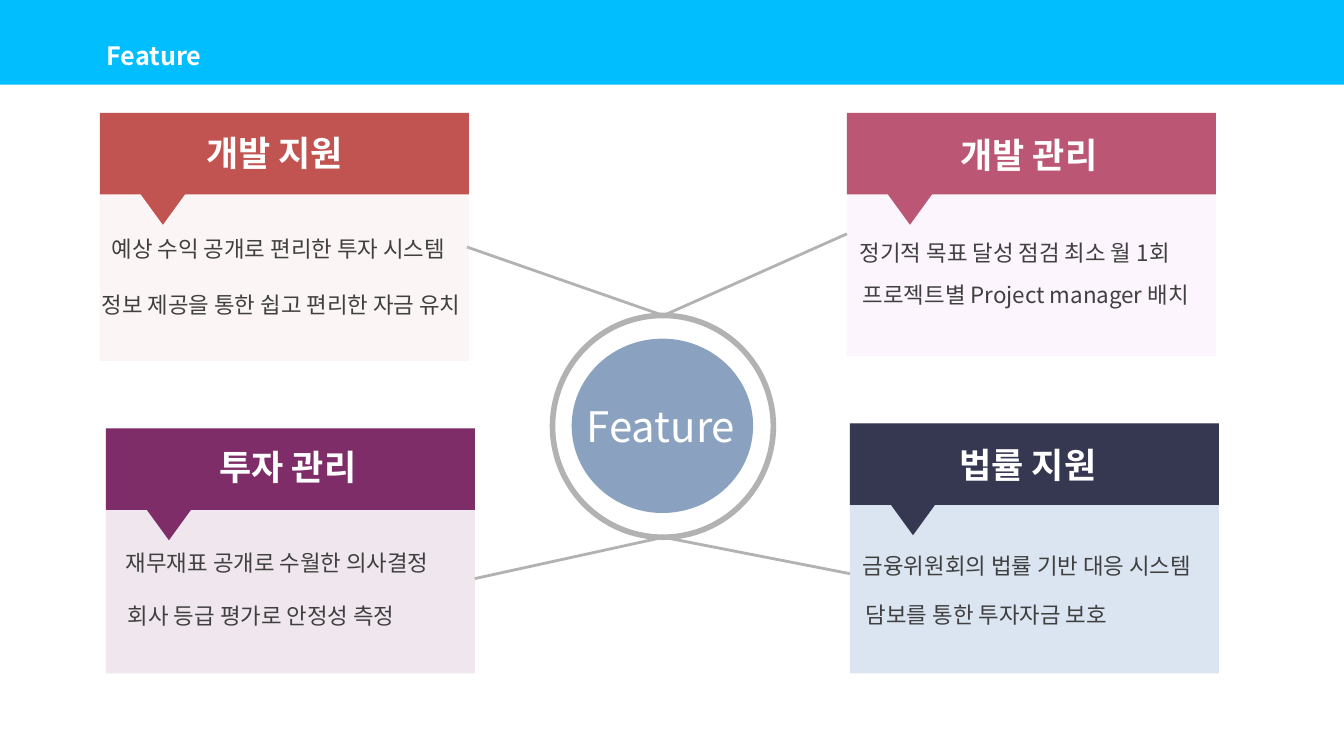
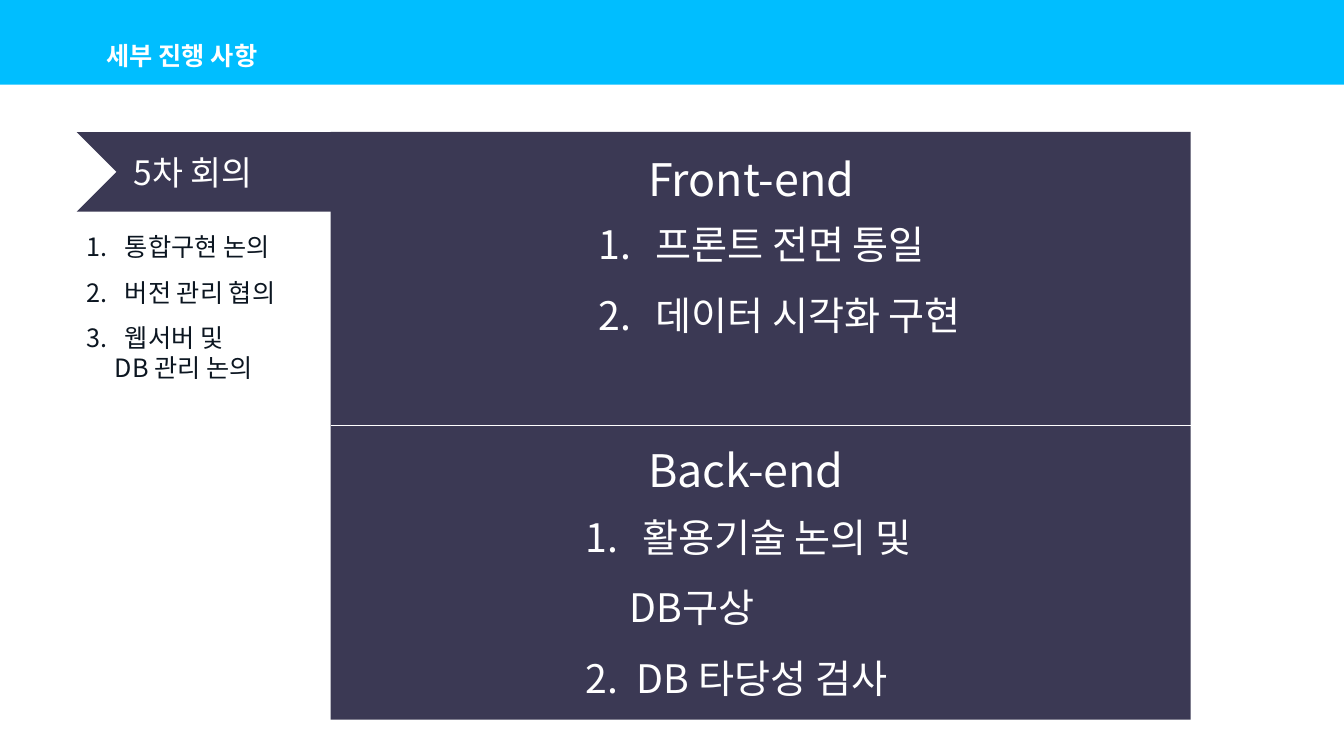
from dataclasses import dataclass

from lxml.etree import SubElement
from pptx import Presentation
from pptx.dml.color import RGBColor
from pptx.enum.shapes import MSO_CONNECTOR as Connector, MSO_SHAPE as Shape
from pptx.enum.text import MSO_ANCHOR as Anchor
from pptx.oxml.ns import qn
from pptx.util import Inches, Pt

FONT = "Noto Sans CJK KR"
WIDTH, HEIGHT = 13.33, 7.5
BAND_HEIGHT = 0.84
SKY, WHITE, GRAY, BODY = "00BEFF", "FFFFFF", "B2B2B2", "404040"
NAVY, INK = "3B3954", "0C1621"
CARD_WIDTH, CARD_HEAD = 3.66, 0.81


def color(value):
    return RGBColor.from_string(value)


@dataclass
class Item:
    text: str
    margin: float
    number: int = 0
    spacing: float = 1.5


@dataclass
class Card:
    left: float
    top: float
    height: float
    accent: str
    panel: str
    opacity: int
    heading: tuple
    lines: list


class Deck:
    def __init__(self):
        self.presentation = Presentation()
        self.presentation.slide_width = Inches(WIDTH)
        self.presentation.slide_height = Inches(HEIGHT)
        self.slide = None

    def new_slide(self, title):
        self.slide = self.presentation.slides.add_slide(self.presentation.slide_layouts[6])
        background = self.slide.background.fill
        background.solid()
        background.fore_color.rgb = color(SKY)
        self.shape(Shape.RECTANGLE, 0, BAND_HEIGHT, WIDTH, HEIGHT - BAND_HEIGHT, WHITE)
        self.text(title, 0.96, 0.35, 2.44, 0.4, 18, bold=True, anchor=Anchor.MIDDLE)

    def shape(self, kind, left, top, width, height, fill=None, opacity=100, outline=None, weight=0):
        shape = self.slide.shapes.add_shape(
            kind, Inches(left), Inches(top), Inches(width), Inches(height))
        shape.shadow.inherit = False
        if fill:
            shape.fill.solid()
            shape.fill.fore_color.rgb = color(fill)
            if opacity < 100:
                clr = shape.fill._xPr.find(qn("a:solidFill"))[0]
                SubElement(clr, qn("a:alpha")).set("val", str(opacity * 1000))
        else:
            shape.fill.background()
        if outline:
            shape.line.color.rgb = color(outline)
            shape.line.width = Pt(weight)
        else:
            shape.line.fill.background()
        return shape

    def line(self, start, end, stroke=GRAY, weight=2):
        connector = self.slide.shapes.add_connector(
            Connector.STRAIGHT, *(Inches(value) for value in (*start, *end)))
        connector.line.color.rgb = color(stroke)
        connector.line.width = Pt(weight)
        SubElement(connector._element.spPr, qn("a:effectLst"))

    def text_box(self, left, top, width, height, anchor=Anchor.TOP):
        box = self.slide.shapes.add_textbox(
            Inches(left), Inches(top), Inches(width), Inches(height))
        box.text_frame.word_wrap = True
        box.text_frame.vertical_anchor = anchor
        return box.text_frame

    def style(self, paragraph, size, ink, bold=False):
        for run in paragraph.runs:
            run.font.size = Pt(size)
            run.font.bold = bold
            run.font.color.rgb = color(ink)
            run.font.name = FONT
            SubElement(run._r.get_or_add_rPr(), qn("a:ea")).set("typeface", FONT)

    def text(self, content, left, top, width, height, size, ink=WHITE, bold=False, anchor=Anchor.TOP):
        text_frame = self.text_box(left, top, width, height, anchor)
        text_frame.text = content
        self.style(text_frame.paragraphs[0], size, ink, bold)

    def numbered(self, items, left, top, width, height, size, ink=WHITE):
        text_frame = self.text_box(left, top, width, height)
        for index, item in enumerate(items):
            paragraph = text_frame.add_paragraph() if index else text_frame.paragraphs[0]
            paragraph.text = item.text
            properties = paragraph._p.get_or_add_pPr()
            properties.set("marL", str(Inches(item.margin)))
            if item.number:
                properties.set("indent", str(-Inches(item.margin)))
                bullet = SubElement(properties, qn("a:buAutoNum"))
                bullet.set("type", "arabicPeriod")
                if item.number > 1:
                    bullet.set("startAt", str(item.number))
            paragraph.line_spacing = item.spacing
            self.style(paragraph, size, ink)

    def card(self, card):
        self.shape(Shape.RECTANGLE, card.left, card.top, CARD_WIDTH, card.height,
                   card.panel, card.opacity)
        pointer = self.shape(Shape.ISOSCELES_TRIANGLE, card.left + 0.4, card.top + 0.8,
                             0.45, 0.31, card.accent)
        pointer.rotation = 180
        self.shape(Shape.RECTANGLE, card.left, card.top, CARD_WIDTH, CARD_HEAD, card.accent)
        heading, left, top = card.heading
        self.text(heading, left, top, 1.61, 0.52, 25, bold=True)
        for content, left, top, width in card.lines:
            self.text(content, left, top, width, 0.37, 16, BODY)


def feature_slide(deck):
    deck.new_slide("Feature")
    ring_top, ring_bottom = (6.58, 3.13), (6.58, 5.33)
    for start, end in [((4.63, 2.45), ring_top), ((8.4, 2.32), ring_top),
                       ((4.71, 5.74), ring_bottom), ((8.68, 5.74), ring_bottom)]:
        deck.line(start, end)
    cards = [
        Card(0.99, 1.12, 2.46, "C15451", "F0D5D4", 22, ("개발 지원", 1.95, 1.26),
             [("예상 수익 공개로 편리한 투자 시스템", 1.01, 2.28, 3.64),
              ("정보 제공을 통한 쉽고 편리한 자금 유치", 0.91, 2.84, 3.95)]),
        Card(8.4, 1.12, 2.41, "BB5774", "E27CEA", 7, ("개발 관리", 9.43, 1.28),
             [("정기적 목표 달성 점검 최소 월 1회", 8.43, 2.32, 3.53),
              ("프로젝트별 Project manager 배치", 8.46, 2.74, 3.63)]),
        Card(1.05, 4.25, 2.43, "7F2D68", "7F2D68", 11, ("투자 관리", 2.08, 4.37),
             [("재무재표 공개로 수월한 의사결정", 1.15, 5.4, 3.5),
              ("회사 등급 평가로 안정성 측정", 1.17, 5.92, 3.31)]),
        Card(8.43, 4.2, 2.48, "363750", "DBE5F1", 100, ("법률 지원", 9.42, 4.35),
             [("금융위원회의 법률 기반 대응 시스템", 8.46, 5.43, 3.77),
              ("담보를 통한 투자자금 보호", 8.49, 5.91, 3.06)]),
    ]
    for card in cards:
        deck.card(card)
    deck.shape(Shape.OVAL, 5.67, 3.36, 1.8, 1.73, "376092", 58)
    deck.text("Feature", 5.72, 3.92, 1.77, 0.61, 30)
    deck.shape(Shape.OVAL, 5.48, 3.13, 2.19, 2.2, outline=GRAY, weight=4)


def progress_slide(deck):
    deck.new_slide("세부 진행 사항")
    deck.shape(Shape.CHEVRON, 0.76, 1.31, 3.88, 0.79, NAVY)
    deck.text("5차 회의", 1.23, 1.46, 1.6, 0.5, 24)
    deck.numbered([Item("통합구현 논의", 0.38, 1, 1), Item("버전 관리 협의", 0.38, 1),
                   Item("웹서버 및", 0.38, 1), Item("DB 관리 논의", 0.28, spacing=1)],
                  0.76, 2.25, 2.52, 2.22, 18, INK)
    deck.shape(Shape.RECTANGLE, 3.28, 1.31, 8.53, 5.83, NAVY)
    for heading, top in [("Front-end", 1.46), ("Back-end", 4.34)]:
        deck.text(heading, 6.33, top, 2.43, 0.64, 32)
    deck.numbered([Item("프론트 전면 통일", 0.56, 1, 1), Item("데이터 시각화 구현", 0.56, 1)],
                  5.84, 2.14, 5.87, 1.21, 28)
    deck.numbered([Item("활용기술 논의 및", 0.56, 1, 1), Item("DB구상", 0.44),
                   Item("DB 타당성 검사", 0.51, 2)],
                  5.71, 5.04, 3.67, 1.91, 28)
    deck.line((3.28, 4.22), (11.81, 4.22), WHITE, 0.75)


def main():
    deck = Deck()
    feature_slide(deck)
    progress_slide(deck)
    deck.presentation.save("out.pptx")


if __name__ == "__main__":
    main()
